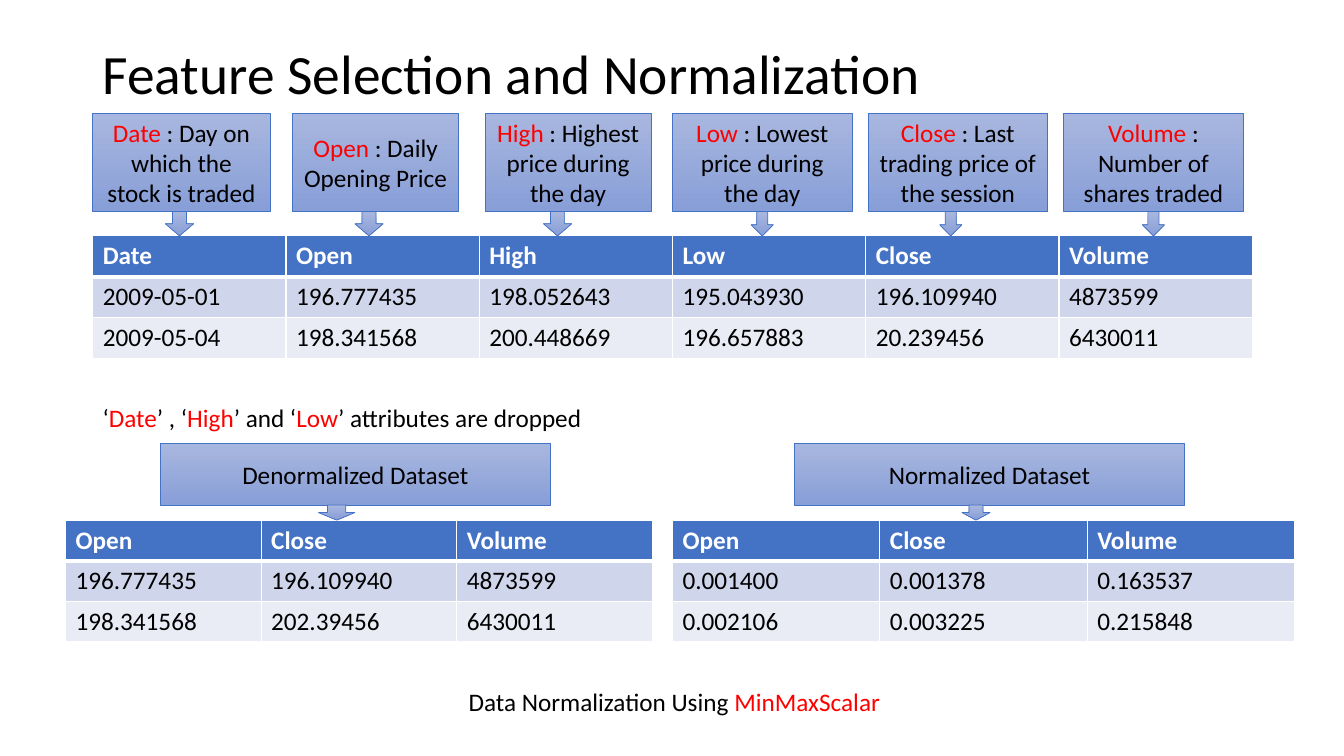
from lxml import etree
from pptx import Presentation
from pptx.dml.color import RGBColor
from pptx.enum.shapes import MSO_SHAPE
from pptx.enum.text import MSO_ANCHOR, MSO_AUTO_SIZE, PP_ALIGN
from pptx.oxml.ns import qn
from pptx.util import Inches, Pt

RECT, ARROW = MSO_SHAPE.RECTANGLE, MSO_SHAPE.DOWN_ARROW
MIDDLE, CENTER = MSO_ANCHOR.MIDDLE, PP_ALIGN.CENTER
GROW = MSO_AUTO_SIZE.SHAPE_TO_FIT_TEXT
BLACK, WHITE, RED, BLUE = "000000", "FFFFFF", "FF0000", "4472C4"
BANDS = ("CFD5EA", "E9EBF5")
SHADES = ("A8B7DF", "889ED7")

NOTES = [
    ("Date", " : Day on which the stock is traded", 0.92, 1.76, 1.64, 0.28),
    ("Open", " : Daily Opening Price", 2.9, 1.65, 3.52, 0.28),
    ("High", " : Highest price during the day", 4.81, 1.65, 5.39, 0.28),
    ("Low", " : Lowest price during the day", 6.67, 1.78, 7.45, 0.22),
    ("Close", " : Last trading price of the session", 8.61, 1.78, 9.32, 0.22),
    ("Volume", " : Number of shares traded", 10.55, 1.78, 11.33, 0.22),
]
STOCK = [
    [note[0] for note in NOTES],
    ["2009-05-01", "196.777435", "198.052643", "195.043930", "196.109940", "4873599"],
    ["2009-05-04", "198.341568", "200.448669", "196.657883", "20.239456", "6430011"],
]
HEADS = ["Open", "Close", "Volume"]
RAW = [
    HEADS,
    ["196.777435", "196.109940", "4873599"],
    ["198.341568", "202.39456", "6430011"],
]
SCALED = [
    HEADS,
    ["0.001400", "0.001378", "0.163537"],
    ["0.002106", "0.003225", "0.215848"],
]
DROPPED = [
    ("‘", BLACK), ("Date", RED), ("’ , ‘", BLACK), ("High", RED),
    ("’ and ‘", BLACK), ("Low", RED), ("’ attributes are dropped", BLACK),
]
METHOD = [("Data Normalization Using ", BLACK), ("MinMaxScalar", RED)]


def paint(color):
    """Turn a hex string into a colour."""
    return RGBColor.from_string(color)


def write(frame, runs, size=18, bold=False):
    """Add coloured runs to the first paragraph and return it."""
    para = frame.paragraphs[0]
    for text, color in runs:
        run = para.add_run()
        run.text = text
        run.font.name = "Calibri"
        run.font.size = Pt(size)
        run.font.bold = bold
        run.font.color.rgb = paint(color)
    return para


def label(slide, box, runs, size=18, wrap=True):
    """Add a text box and return its frame and paragraph."""
    frame = slide.shapes.add_textbox(*map(Inches, box)).text_frame
    frame.word_wrap = wrap
    return frame, write(frame, runs, size)


def block(slide, kind, box):
    """Add a shape with the shaded fill and thin outline."""
    shape = slide.shapes.add_shape(kind, *map(Inches, box))
    shape.shadow.inherit = False
    shape.fill.gradient()
    shape.fill.gradient_angle = 270
    for stop, color in zip(shape.fill.gradient_stops, SHADES):
        stop.color.rgb = paint(color)
    for stop, place in zip(shape.fill.gradient_stops, (0, 1)):
        stop.position = place
    shape.line.color.rgb = paint(BLUE)
    shape.line.width = Pt(0.5)
    return shape


def callout(slide, box, runs, tip, gap):
    """Add a captioned box with an arrow filling the gap below it."""
    left, top, width, height = box
    frame = block(slide, RECT, box).text_frame
    frame.word_wrap = True
    frame.vertical_anchor = MIDDLE
    write(frame, runs).alignment = CENTER
    block(slide, ARROW, (tip[0], top + height, tip[1], gap))


def edge(cell, row):
    """Draw white cell borders, thick between header and body."""
    props = cell._tc.get_or_add_tcPr()
    thick = {0: "lnB", 1: "lnT"}.get(row)
    for spot, side in enumerate(("lnL", "lnR", "lnT", "lnB")):
        line = etree.Element(qn("a:" + side), w=str(Pt(3 if side == thick else 1)))
        fill = etree.SubElement(line, qn("a:solidFill"))
        etree.SubElement(fill, qn("a:srgbClr"), val=WHITE)
        props.insert(spot, line)


def grid(slide, box, data):
    """Add a table of equal columns and rows with a blue header."""
    left, top, width, height = box
    count = len(data[0])
    table = slide.shapes.add_table(len(data), count, *map(Inches, box)).table
    for col in table.columns:
        col.width = Inches(width / count)
    for r, line in enumerate(data):
        table.rows[r].height = Inches(height / len(data))
        for c, text in enumerate(line):
            cell = table.cell(r, c)
            cell.fill.solid()
            cell.fill.fore_color.rgb = paint(BANDS[(r - 1) % 2] if r else BLUE)
            edge(cell, r)
            write(cell.text_frame, [(text, BLACK if r else WHITE)], bold=r == 0)


def heading(slide, box):
    """Add the slide title."""
    runs = [("Feature Selection and Normalization", BLACK)]
    frame, para = label(slide, box, runs, 39.6)
    frame.vertical_anchor = MIDDLE
    para.line_spacing = 0.9


def features(slide, box):
    """Add the stock table under a row of column notes."""
    left, top, width, height = box
    grid(slide, (left, top + 1.22, width, height - 1.22), STOCK)
    for name, text, start, span, *tip in NOTES:
        runs = [(name, RED), (text, BLACK)]
        callout(slide, (start, top, span, 0.98), runs, tip, 0.24)


def dataset(slide, box, name, start, tip, data):
    """Add a small table under its captioned box."""
    left, top, width, height = box
    grid(slide, (left, top + 0.76, width, height - 0.76), data)
    callout(slide, (start, top, 3.87, 0.61), [(name, BLACK)], tip, 0.15)


def main():
    """Build and save the slide."""
    deck = Presentation()
    deck.slide_width, deck.slide_height = Inches(13.33), Inches(7.5)
    slide = deck.slides.add_slide(deck.slide_layouts[6])
    heading(slide, (0.92, 0.4, 11.5, 0.72))
    features(slide, (0.92, 1.12, 11.5, 2.44))
    label(slide, (0.92, 3.94, 5.43, 0.4), DROPPED)[0].auto_size = GROW
    dataset(slide, (0.65, 4.4, 5.82, 1.97), "Denormalized Dataset", 1.59, (3.16, 0.36), RAW)
    dataset(slide, (6.67, 4.4, 6.17, 1.97), "Normalized Dataset", 7.88, (9.54, 0.28), SCALED)
    label(slide, (4.55, 6.76, 4.32, 0.4), METHOD, wrap=False)[0].auto_size = GROW
    deck.save("out.pptx")


if __name__ == "__main__":
    main()
